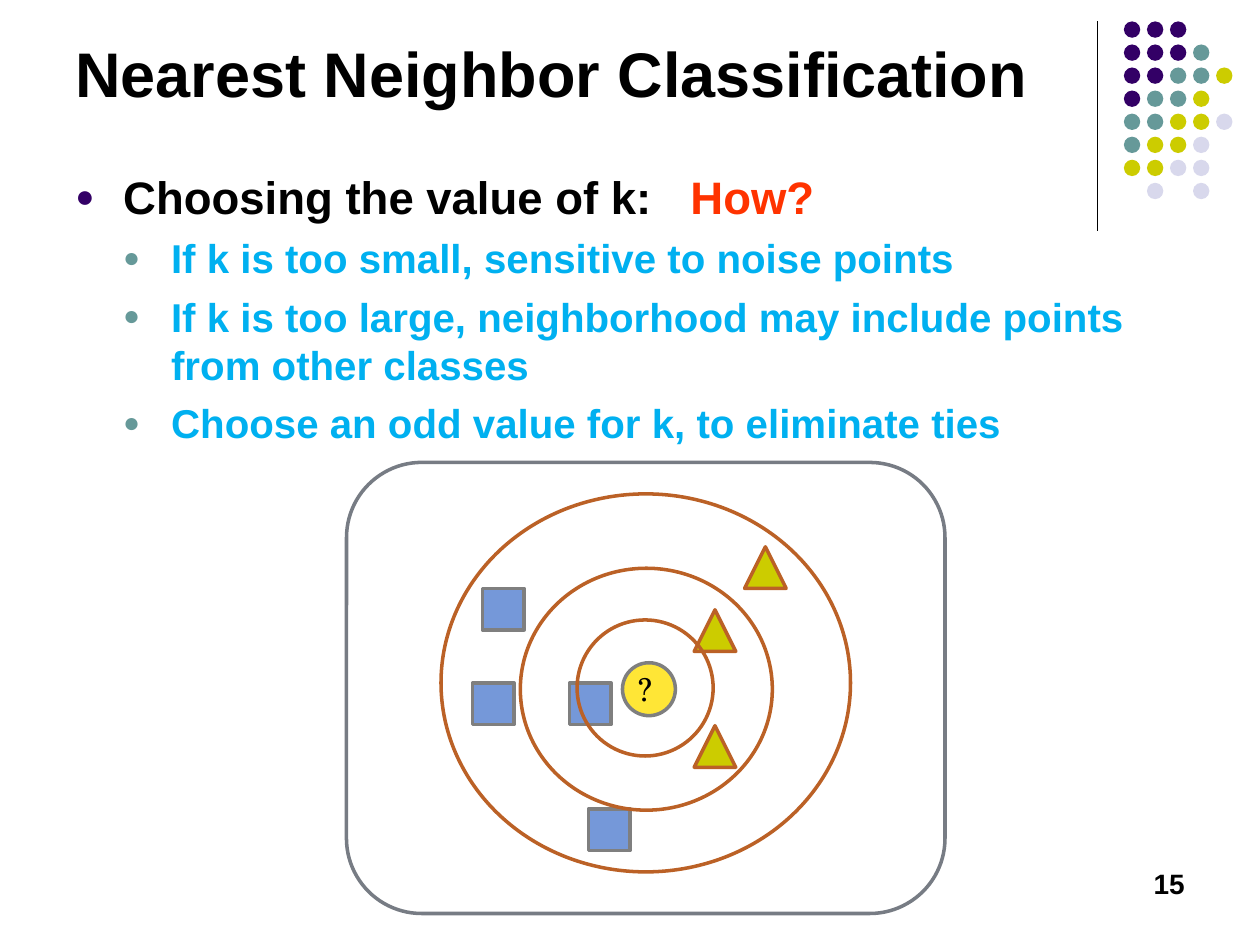
import pptx
import pptx.util
from pptx.dml.color import RGBColor
from pptx.enum.shapes import MSO_CONNECTOR, MSO_SHAPE
from pptx.enum.text import MSO_ANCHOR, PP_ALIGN
from pptx.oxml.ns import qn
from lxml import etree

COLORS = {
    "ink": "000000", "purple": "330066", "teal": "669999", "olive": "CCCC00",
    "lilac": "D8D8EC", "red": "FF3300", "sky": "00B0F0", "rust": "BB6126",
    "frame": "777C84", "gray": "7F7F7F", "blue": "7598D9", "yellow": "FFE636",
}

TITLE = "Nearest Neighbor Classification"
HEADING = "Choosing the value of k:"
QUESTION = "How?"
POINTS = [
    "If k is too small, sensitive to noise points",
    "If k is too large, neighborhood may include points from other classes",
    "Choose an odd value for k, to eliminate ties",
]
PAGE_NUMBER = "15"

# One letter per dot of the corner ornament
DOT_ROWS = ["ppp", "pppt", "pptto", "ptto", "ttool", "tool", "ooll", " l l"]
DOT_COLORS = {"p": "purple", "t": "teal", "o": "olive", "l": "lilac"}
DOT_LEFT, DOT_TOP, DOT_PITCH, DOT_SIZE = 8.92, 0.17, 0.183, 0.13

# Left, top, width, height in inches
FRAME = (2.75, 3.67, 4.75, 3.58)
OUTER_RING = (3.5, 3.92, 3.25, 3)
INNER_RINGS = [(4.13, 4.51, 2, 1.92), (4.58, 4.92, 1.08, 1.08)]
QUERY = (4.94, 5.26, 0.42, 0.42)
QUERY_LABEL = (5, 5.27, 0.29, 0.39)

# Left and top of each data point
TRIANGLES = [(5.91, 4.34), (5.51, 5.76), (5.51, 4.84)]
SQUARES = [(4.67, 6.42), (3.83, 4.67), (3.75, 5.42), (4.52, 5.42)]
MARK_SIZE = 0.33


def rgb(name):
    return RGBColor.from_string(COLORS[name])


def inches(values):
    return [pptx.util.Inches(value) for value in values]


def add_shape(page, kind, area, fill=None, line=None):
    shape = page.shapes.add_shape(kind, *inches(area))
    shape.shadow.inherit = False
    if fill:
        shape.fill.solid()
        shape.fill.fore_color.rgb = rgb(fill)
    else:
        shape.fill.background()
    if line:
        shape.line.color.rgb = rgb(line)
        shape.line.width = pptx.util.Pt(2)
    else:
        shape.line.fill.background()
    return shape


def add_frame(page, area, insets=(0.1, 0.05, 0.1, 0.05), anchor=MSO_ANCHOR.TOP):
    """Add a wrapping text box and return its text frame."""
    frame = page.shapes.add_textbox(*inches(area)).text_frame
    frame.word_wrap = True
    frame.vertical_anchor = anchor
    (frame.margin_left, frame.margin_top,
     frame.margin_right, frame.margin_bottom) = inches(insets)
    return frame


def style(span, size, color="ink", font="Arial", bold=True):
    span.font.size = pptx.util.Pt(size)
    span.font.name = font
    span.font.bold = bold
    span.font.color.rgb = rgb(color)


def add_label(page, text, area, size, align, font="Arial", bold=True, **frame_options):
    para = add_frame(page, area, **frame_options).paragraphs[0]
    para.text = text
    para.alignment = align
    style(para.runs[0], size, font=font, bold=bold)


def add_bullet(para, color, left):
    properties = para._p.get_or_add_pPr()
    properties.set("marL", str(pptx.util.Inches(left)))
    properties.set("indent", str(-pptx.util.Inches(0.38)))
    bullet_color = etree.SubElement(properties, qn("a:buClr"))
    etree.SubElement(bullet_color, qn("a:srgbClr"), val=COLORS[color])
    etree.SubElement(properties, qn("a:buSzPct"), val="70000")
    etree.SubElement(properties, qn("a:buFont"), typeface="Arial")
    etree.SubElement(properties, qn("a:buChar"), char="●")


def add_ornament(page):
    rule = page.shapes.add_connector(
        MSO_CONNECTOR.STRAIGHT, *inches((8.71, 0.17, 8.71, 1.83)))
    rule.line.color.rgb = rgb("ink")
    rule.line.width = pptx.util.Pt(0.75)
    etree.SubElement(rule._element.spPr, qn("a:effectLst"))
    for row, letters in enumerate(DOT_ROWS):
        for column, letter in enumerate(letters):
            if letter in DOT_COLORS:
                area = (DOT_LEFT + column * DOT_PITCH, DOT_TOP + row * DOT_PITCH,
                        DOT_SIZE, DOT_SIZE)
                add_shape(page, MSO_SHAPE.OVAL, area, fill=DOT_COLORS[letter])


def add_body(page):
    frame = add_frame(page, (0.5, 1.25, 9, 4.82), insets=(0.1, 0.09, 0.1, 0.05))
    para = frame.paragraphs[0]
    add_bullet(para, "purple", 0.38)
    for text, color in [(HEADING, "ink"), (" ", "ink"), (QUESTION, "red")]:
        span = para.add_run()
        span.text = text
        style(span, 26, color)
    # Letter spacing widens the gap before the question
    para.runs[1].font._element.set("spc", "1450")
    for point in POINTS:
        para = frame.add_paragraph()
        para.text = point
        para.level = 1
        add_bullet(para, "teal", 0.76)
        para.space_before = pptx.util.Pt(5.8)
        style(para.runs[0], 23, "sky")


def add_diagram(page):
    add_shape(page, MSO_SHAPE.OVAL, OUTER_RING, line="rust")
    add_shape(page, MSO_SHAPE.ROUNDED_RECTANGLE, FRAME, line="frame")
    marks = [(MSO_SHAPE.ISOSCELES_TRIANGLE, TRIANGLES, "olive", "rust"),
             (MSO_SHAPE.RECTANGLE, SQUARES, "blue", "gray")]
    for kind, places, fill, line in marks:
        for place in places:
            add_shape(page, kind, (*place, MARK_SIZE, MARK_SIZE), fill, line)
    add_shape(page, MSO_SHAPE.OVAL, QUERY, "yellow", "gray")
    add_label(page, "?", QUERY_LABEL, 18, PP_ALIGN.CENTER, font="TeX Gyre Schola",
              bold=False, insets=(0.04, 0.04, 0.09, 0.04), anchor=MSO_ANCHOR.MIDDLE)
    for ring in INNER_RINGS:
        add_shape(page, MSO_SHAPE.OVAL, ring, line="rust")


def main():
    deck = pptx.Presentation()
    deck.slide_width, deck.slide_height = inches((10, 7.5))
    page = deck.slides.add_slide(deck.slide_layouts[6])
    add_ornament(page)
    add_label(page, TITLE, (0.5, 0.16, 8.25, 0.76), 36, PP_ALIGN.LEFT,
              anchor=MSO_ANCHOR.BOTTOM)
    add_body(page)
    add_label(page, PAGE_NUMBER, (7.17, 6.83, 2.33, 0.5), 16, PP_ALIGN.RIGHT)
    add_diagram(page)
    deck.save("out.pptx")


if __name__ == "__main__":
    main()
